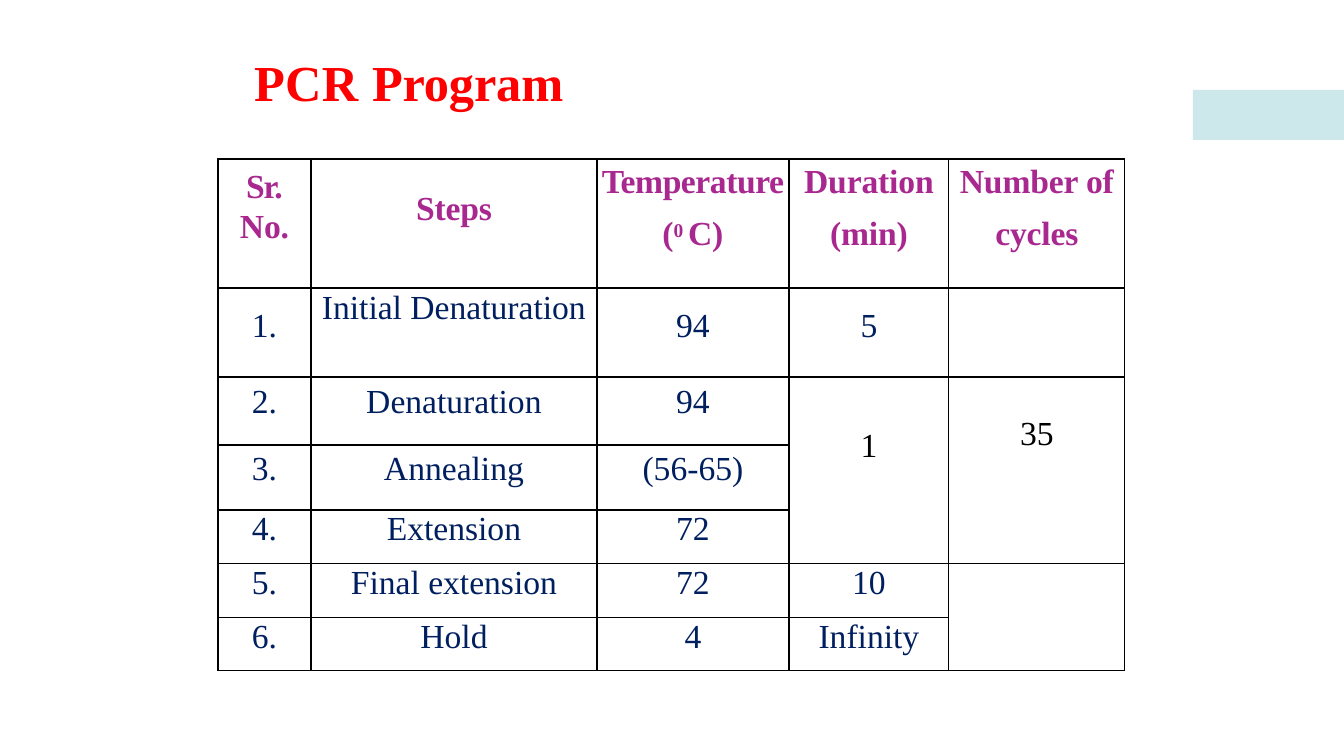
from lxml.etree import SubElement
from pptx import Presentation
from pptx.dml.color import RGBColor
from pptx.enum.shapes import MSO_SHAPE as Shape
from pptx.enum.text import MSO_ANCHOR as Anchor, MSO_AUTO_SIZE as AutoSize, PP_ALIGN as Align
from pptx.oxml.ns import qn
from pptx.util import Pt

PX = 914400 / 100.8
FONT = "Times New Roman"
COLORS = {"title": "FF0000", "header": "A82890", "body": "001F5F",
          "shared": "000000", "border": "000000", "accent": "9CD3D9"}
COLUMNS = [93, 286, 192, 160, 176]
ROWS = [129, 89, 68, 65, 54, 54, 53]
HEADERS = [(["Sr.", "No."], 10, 2.1), (["Steps"], 32, 0),
           (["Temperature", "("], 5, 10.1), (["Duration", "(min)"], 5, 10.1),
           (["Number of", "cycles"], 5, 10.1)]
STEPS = [("Initial Denaturation", "94", "5"), ("Denaturation", "94", "1", "35"),
         ("Annealing", "(56-65)"), ("Extension", "72"),
         ("Final extension", "72", "10"), ("Hold", "4", "Infinity")]
TOP_MARGINS = [20, 7, 6, 1, 1, 1]
OWN_MARGINS = {"Initial Denaturation": 0, "1": 51, "35": 39}
TRACKING = {"Sr.": -80, "Temperature": -30, "PCR ": 30}
MERGES = [((2, 3), (4, 3)), ((2, 4), (4, 4)), ((5, 4), (6, 4))]


def px(length):
    """Turn pixels into EMU."""
    return round(length * PX)


def color(name):
    """Look up a named colour."""
    return RGBColor.from_string(COLORS[name])


def format_run(run, size, color_name, bold):
    """Set the font, size, colour and letter spacing of a run."""
    run.font.name, run.font.size, run.font.bold = FONT, Pt(size), bold
    run.font.color.rgb = color(color_name)
    run.font._element.set("spc", str(TRACKING.get(run.text, -10 if bold else 0)))


def add_accent(slide, left, top, width, height):
    """Draw the half-transparent bar at the slide's edge."""
    bar = slide.shapes.add_shape(Shape.RECTANGLE, px(left), px(top), px(width), px(height))
    bar.shadow.inherit = False
    bar.line.fill.background()
    bar.fill.solid()
    bar.fill.fore_color.rgb = color("accent")
    fill_color = bar._element.spPr.find(f"{qn('a:solidFill')}/{qn('a:srgbClr')}")
    SubElement(fill_color, qn("a:alpha"), val="50000")


def set_title(slide, left, top, width, height):
    """Place and format the slide title."""
    title = slide.shapes.title
    title.left, title.top, title.width, title.height = map(px, (left, top, width, height))
    frame = title.text_frame
    frame.auto_size, frame.vertical_anchor = AutoSize.NONE, Anchor.MIDDLE
    frame.text = "PCR "
    paragraph = frame.paragraphs[0]
    paragraph.add_run().text = "Program"
    paragraph.alignment, paragraph.line_spacing = Align.LEFT, 0.9
    for run in paragraph.runs:
        format_run(run, 36, "title", True)


def style_cell(cell):
    """Give a cell thin borders, no fill and no margins."""
    properties = cell._tc.get_or_add_tcPr()
    for side in ("lnL", "lnR", "lnT", "lnB"):
        line = SubElement(properties, qn(f"a:{side}"), w=str(Pt(1)))
        fill = SubElement(line, qn("a:solidFill"))
        SubElement(fill, qn("a:srgbClr"), val=COLORS["border"])
    cell.fill.background()
    cell.vertical_anchor = Anchor.TOP
    cell.margin_left = cell.margin_right = cell.margin_top = cell.margin_bottom = 0


def write_cell(cell, lines, top_margin, color_name, bold=False, gap=0):
    """Write centred lines below a top margin."""
    cell.margin_top = px(top_margin)
    cell.text_frame.text = "\n".join(lines)
    for index, paragraph in enumerate(cell.text_frame.paragraphs):
        paragraph.alignment = Align.CENTER
        if index:
            paragraph.space_before = Pt(gap)
        for run in paragraph.runs:
            format_run(run, 24, color_name, bold)


def add_degree_unit(paragraph):
    """Complete the unit with a raised zero."""
    for text, baseline in (("0 ", 24000), ("C)", 0)):
        run = paragraph.add_run()
        run.text = text
        format_run(run, 24, "header", True)
        run.font._element.set("baseline", str(baseline))


def add_program_table(slide, left, top):
    """Build the table of PCR steps."""
    table = slide.shapes.add_table(len(ROWS), len(COLUMNS), px(left), px(top),
                                   px(sum(COLUMNS)), px(sum(ROWS))).table
    table.first_row = table.horz_banding = False
    for column, width in zip(table.columns, COLUMNS):
        column.width = px(width)
    for row, height in zip(table.rows, ROWS):
        row.height = px(height)
    for cell in table.iter_cells():
        style_cell(cell)
    for first, last in MERGES:
        table.cell(*first).merge(table.cell(*last))
    for column, (lines, margin, gap) in enumerate(HEADERS):
        write_cell(table.cell(0, column), lines, margin, "header", True, gap)
    add_degree_unit(table.cell(0, 2).text_frame.paragraphs[1])
    for number, (step, margin) in enumerate(zip(STEPS, TOP_MARGINS), 1):
        for column, text in enumerate((f"{number}.", *step)):
            color_name = "shared" if text in ("1", "35") else "body"
            write_cell(table.cell(number, column), [text],
                       OWN_MARGINS.get(text, margin), color_name)
    table.cell(1, 1).text_frame.paragraphs[0].line_spacing = Pt(27.9)


def main():
    """Build and save the presentation."""
    presentation = Presentation()
    presentation.slide_width, presentation.slide_height = px(1344), px(756)
    slide = presentation.slides.add_slide(presentation.slide_layouts[5])
    add_accent(slide, 1193, 90, 151, 50)
    set_title(slide, 244, 4, 857, 162)
    add_program_table(slide, 218, 159)
    presentation.save("out.pptx")


if __name__ == "__main__":
    main()
